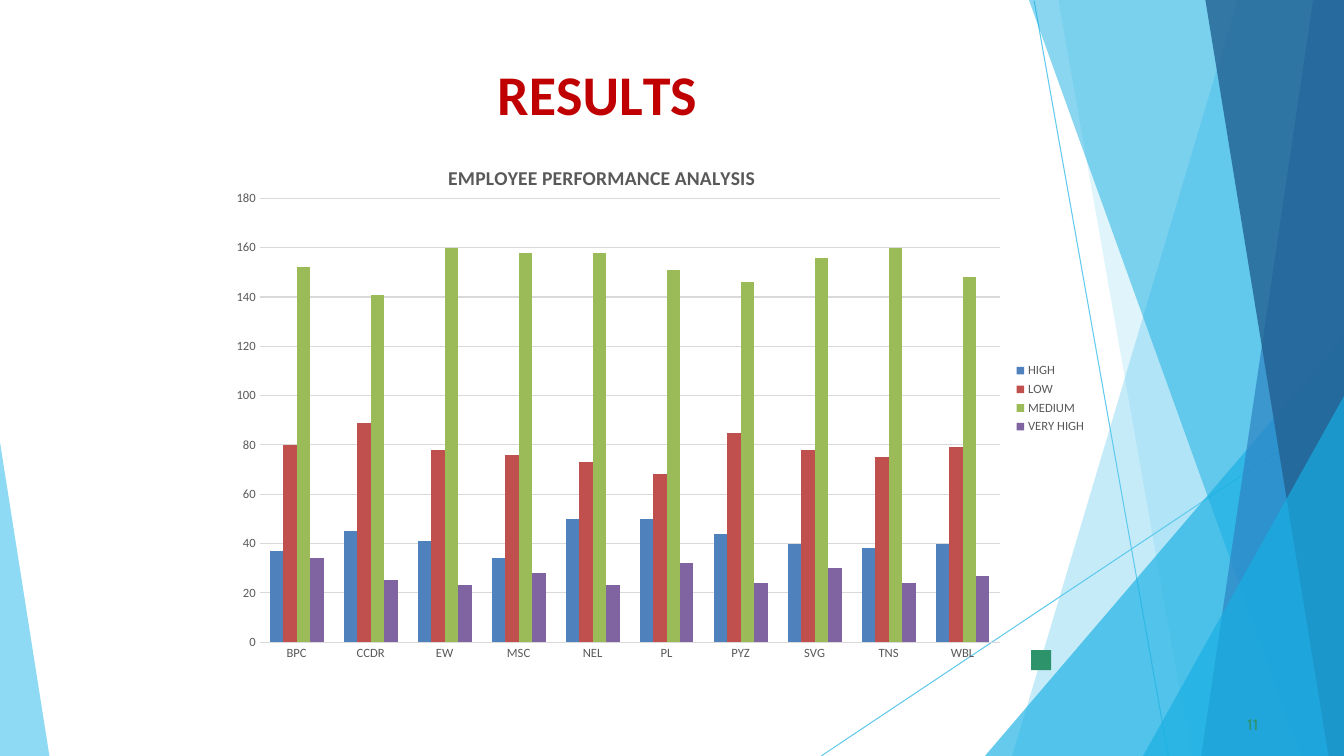
import dataclasses
import lxml.etree
import pptx
import pptx.chart.data
import pptx.dml.color
import pptx.enum.chart
import pptx.enum.shapes
import pptx.oxml
import pptx.oxml.ns
import pptx.util

Pt = pptx.util.Pt
qn = pptx.oxml.ns.qn
W, H = 960, 540
SKY, CYAN, GREEN, GREY = "5FCAEE", "17AFE3", "2D936B", "595959"


@dataclasses.dataclass
class Facet:
    points: list[tuple[float, float]]
    color: str
    alpha: int


@dataclasses.dataclass
class Line:
    start: tuple[float, float]
    end: tuple[float, float]


@dataclasses.dataclass
class Label:
    box: tuple[float, float, float, float]
    runs: list[tuple[str, float]]  # text and letter spacing in points
    face: str
    size: float
    color: str
    bold: bool = False
    indent: float = 0
    before: float = 0


@dataclasses.dataclass
class Series:
    name: str
    color: str
    values: list[int]


LINES = [Line((738.7, 0.5), (834.5, H)), Line((W, 290.9), (586.6, H))]


def band(top: float, foot: float, color: str, alpha: int) -> Facet:
    """Facet filling the right edge at full height."""
    return Facet([(W, 0), (top, 0), (foot, H), (W, H)], color, alpha)


def wedge(top: float, foot: float, color: str, alpha: int) -> Facet:
    """Triangle in the lower right corner."""
    return Facet([(W, top), (foot, H), (W, H)], color, alpha)


FACETS = [
    band(884, 723, SKY, 36),
    band(756, 851, SKY, 20),
    wedge(240, 703.5, CYAN, 66),
    band(735, 929.5, CYAN, 50),
    band(938, 858, "2D83C3", 70),
    band(861, 949, "226192", 80),
    wedge(283, 816.5, CYAN, 66),
    Facet([(0, 316), (0, H), (35.3, H)], SKY, 70),
]
LABELS = [
    Label((354.5, 41.8, 246, 49.7),
          [("R", 0), ("E", -0.4), ("S", 0.1), ("U", -0.3), ("L", -4), ("TS", 0)],
          "Calibri", 40, "C00000", True, 0.7, 1.1),
    Label((887.8, 509.8, 18, 15.1), [("11", 0.1)], "Cabin", 11, GREEN,
          indent=3, before=0.6),
]
CATS = ["BPC", "CCDR", "EW", "MSC", "NEL", "PL", "PYZ", "SVG", "TNS", "WBL"]
SERIES = [
    Series("HIGH", "4F81BD", [37, 45, 41, 34, 50, 50, 44, 40, 38, 40]),
    Series("LOW", "C0504D", [80, 89, 78, 76, 73, 68, 85, 78, 75, 79]),
    Series("MEDIUM", "9BBB59", [152, 141, 160, 158, 158, 151, 146, 156, 160, 148]),
    Series("VERY HIGH", "8064A2", [34, 25, 23, 28, 23, 32, 24, 30, 24, 27]),
]


def rgb(code: str) -> pptx.dml.color.RGBColor:
    return pptx.dml.color.RGBColor.from_string(code)


def paint(shape, color: str, alpha: int = 100) -> None:
    shape.shadow.inherit = False
    shape.line.fill.background()
    shape.fill.solid()
    shape.fill.fore_color.rgb = rgb(color)
    if alpha < 100:
        tint = shape._element.spPr.find(".//" + qn("a:srgbClr"))
        lxml.etree.SubElement(tint, qn("a:alpha"), val=str(alpha * 1000))


def style(font, size: float, color: str, face: str = "Calibri",
          bold: bool = False) -> None:
    font.name, font.size, font.bold = face, Pt(size), bold
    font.color.rgb = rgb(color)


def draw_line(slide, line: Line) -> None:
    ends = [Pt(n) for n in (*line.start, *line.end)]
    rule = slide.shapes.add_connector(
        pptx.enum.shapes.MSO_CONNECTOR.STRAIGHT, *ends)
    rule.line.color.rgb = rgb(SKY)
    rule.line.width = Pt(0.75)
    lxml.etree.SubElement(rule._element.spPr, qn("a:effectLst"))


def draw_facet(slide, facet: Facet) -> None:
    first, *rest = [(Pt(x), Pt(y)) for x, y in facet.points]
    pen = slide.shapes.build_freeform(*first)
    pen.add_line_segments(rest, close=True)
    paint(pen.convert_to_shape(), facet.color, facet.alpha)


def draw_label(slide, label: Label) -> None:
    frame = slide.shapes.add_textbox(*map(Pt, label.box)).text_frame
    frame.word_wrap = True
    frame.margin_left = Pt(label.indent)
    frame.margin_right = frame.margin_bottom = 0
    frame.margin_top = Pt(0.9)
    para = frame.paragraphs[0]
    para.space_before = Pt(label.before)
    style(para.font, label.size, label.color, label.face, label.bold)
    for text, gap in label.runs:
        run = para.add_run()
        run.text = text
        if gap:
            run._r.get_or_add_rPr().set("spc", str(round(gap * 100)))


def place(part, inner: bool = False, **spots: float) -> None:
    """Give a chart part a fixed place, in fractions of the chart."""
    old = part.find(qn("c:layout"))
    if old is None:
        old = pptx.oxml.parse_xml(
            f'<c:layout {pptx.oxml.ns.nsdecls("c")}/>')
        text = part.find(qn("c:tx"))
        if text is None:
            part.insert(0, old)
        else:
            text.addnext(old)
    for child in list(old):
        old.remove(child)
    spot = lxml.etree.SubElement(old, qn("c:manualLayout"))
    if inner:
        lxml.etree.SubElement(spot, qn("c:layoutTarget"), val="inner")
    for key in ("x", "y"):
        lxml.etree.SubElement(spot, qn(f"c:{key}Mode"), val="edge")
    for key, val in spots.items():
        lxml.etree.SubElement(spot, qn(f"c:{key}"), val=str(val))


def draw_chart(slide) -> None:
    data = pptx.chart.data.CategoryChartData()
    data.categories = CATS
    for item in SERIES:
        data.add_series(item.name, item.values)
    kinds = pptx.enum.chart
    chart = slide.shapes.add_chart(
        kinds.XL_CHART_TYPE.COLUMN_CLUSTERED,
        Pt(154), Pt(91.5), Pt(629.3), Pt(386.6), data).chart
    style(chart.font, 10, "000000")

    # Title and legend
    para = chart.chart_title.text_frame.paragraphs[0]
    para.text = "EMPLOYEE PERFORMANCE ANALYSIS"
    style(para.font, 14, GREY, bold=True)
    chart.chart_title.include_in_layout = False
    place(chart.chart_title._element, x=0.26, y=0.06)
    chart.has_legend = True
    chart.legend.position = kinds.XL_LEGEND_POSITION.RIGHT
    chart.legend.include_in_layout = False
    style(chart.legend.font, 9, GREY)

    # Axes and columns
    for axis in (chart.category_axis, chart.value_axis):
        axis.major_tick_mark = axis.minor_tick_mark = kinds.XL_TICK_MARK.NONE
        axis.format.line.fill.background()
        style(axis.tick_labels.font, 9, GREY)
    scale = chart.value_axis
    scale.minimum_scale, scale.maximum_scale, scale.major_unit = 0, 180, 20
    scale.major_gridlines.format.line.color.rgb = rgb("D9D9D9")
    scale.major_gridlines.format.line.width = Pt(0.75)
    plot = chart.plots[0]
    plot.gap_width, plot.overlap, plot.vary_by_categories = 150, 0, False
    for bars, item in zip(plot.series, SERIES):
        bars.format.fill.solid()
        bars.format.fill.fore_color.rgb = rgb(item.color)
    area = chart._chartSpace.find(".//" + qn("c:plotArea"))
    place(area, True, x=0.05, y=0.13, w=0.84, h=0.82)


def main() -> None:
    deck = pptx.Presentation()
    deck.slide_width, deck.slide_height = Pt(W), Pt(H)
    slide = deck.slides.add_slide(deck.slide_layouts[6])

    # Backdrop
    for line in LINES:
        draw_line(slide, line)
    for facet in FACETS:
        draw_facet(slide, facet)

    # Content
    square = slide.shapes.add_shape(
        pptx.enum.shapes.MSO_SHAPE.RECTANGLE,
        Pt(736.5), Pt(464.4), Pt(14.4), Pt(14.4))
    paint(square, GREEN)
    for label in LABELS:
        draw_label(slide, label)
    draw_chart(slide)
    deck.save("out.pptx")


if __name__ == "__main__":
    main()
